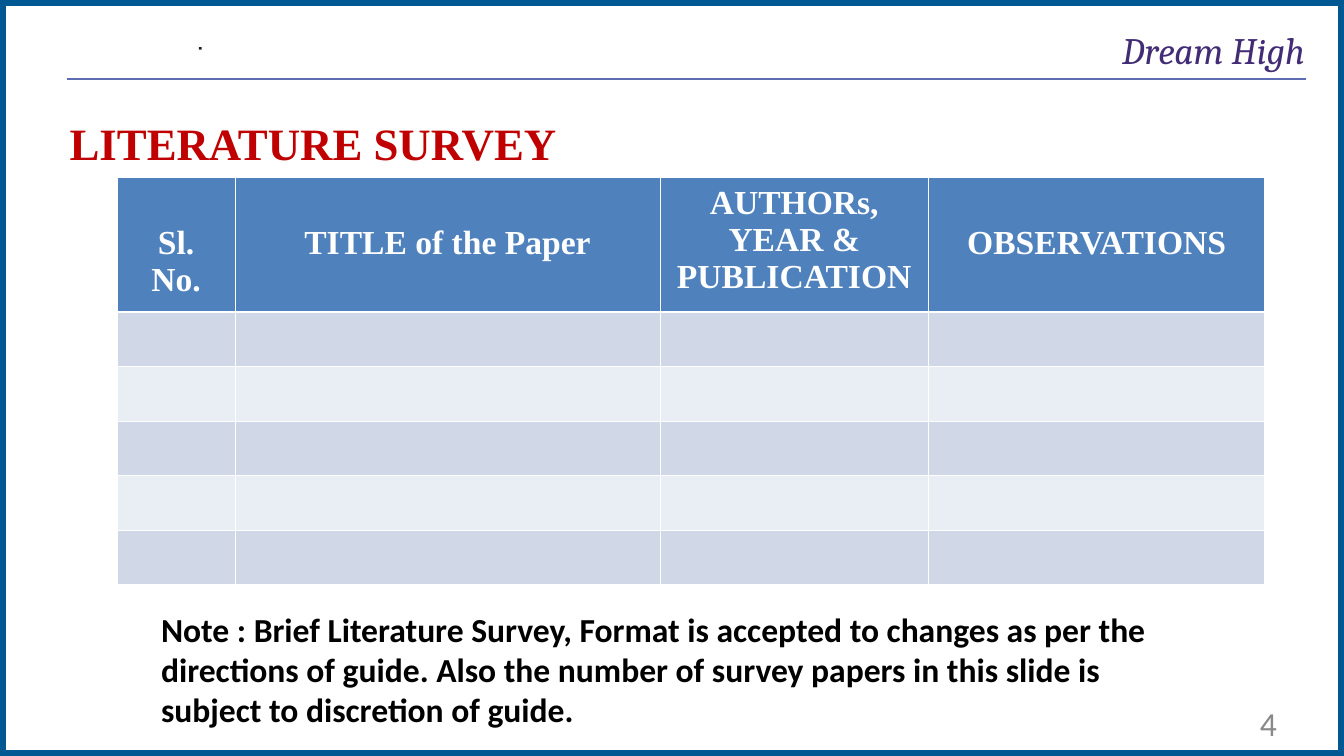
from pptx import Presentation
from pptx.dml.color import RGBColor
from pptx.enum.shapes import MSO_CONNECTOR, MSO_SHAPE
from pptx.enum.text import MSO_ANCHOR, PP_ALIGN
from pptx.oxml.ns import qn
from pptx.util import Inches, Pt
from lxml import etree

RECT = MSO_SHAPE.RECTANGLE
LINE = MSO_CONNECTOR.STRAIGHT
TOP = MSO_ANCHOR.TOP
LEFT, MID, RIGHT = PP_ALIGN.LEFT, PP_ALIGN.CENTER, PP_ALIGN.RIGHT
SERIF = "Times New Roman"

HEX = {
    "white": "FFFFFF", "black": "000000", "frame": "005893", "rule": "5E6DB3",
    "mark": "231F20", "motto": "422C75", "head": "C00000", "page": "898989",
    "top": "4F81BD", "odd": "D0D8E8", "even": "E9EDF4",
}
RGB = {name: RGBColor.from_string(code) for name, code in HEX.items()}


def write(para, text, size, face, color, align=LEFT, bold=False, italic=False):
    para.alignment = align
    run = para.add_run()
    run.text = text
    font = run.font
    font.size, font.name = Pt(size), face
    font.bold, font.italic = bold, italic
    font.color.rgb = RGB[color]


def edge(cell, sides):
    props = cell._tc.get_or_add_tcPr()
    for spot, (side, width) in enumerate(sides.items()):
        line = etree.Element(qn(f"a:ln{side}"), w=str(Pt(width)))
        fill = etree.SubElement(line, qn("a:solidFill"))
        etree.SubElement(fill, qn("a:srgbClr"), val=HEX["white"])
        props.insert(spot, line)


# Widescreen page, 16 to 9
prs = Presentation()
prs.slide_width = Inches(10)
prs.slide_height = Inches(10) * 9 // 16
slide = prs.slides.add_slide(prs.slide_layouts[5])
shapes = slide.shapes

# Frame, placed behind the title
frame = shapes.add_shape(RECT, 0, 0, prs.slide_width, prs.slide_height)
frame.shadow.inherit = False
frame.fill.solid()
frame.fill.fore_color.rgb = RGB["white"]
frame.line.color.rgb = RGB["frame"]
frame.line.width = Pt(6)
shapes.element.insert(2, frame.element)

# Header rule and small mark
rule = shapes.add_connector(LINE, Inches(0.5), Inches(0.59), Inches(9.72), Inches(0.59))
rule.line.color.rgb = RGB["rule"]
rule.line.width = Pt(1.25)
etree.SubElement(rule.element.spPr, qn("a:effectLst"))

mark = shapes.add_shape(RECT, Inches(1.48), Inches(0.35), Inches(0.02), Inches(0.02))
mark.shadow.inherit = False
mark.fill.solid()
mark.fill.fore_color.rgb = RGB["mark"]
mark.line.fill.background()

# Title
title = shapes.title
title.left, title.top = Inches(7.5), Inches(0.2)
title.width, title.height = Inches(2.21), Inches(0.34)
body = title.text_frame
body.margin_left = body.margin_right = body.margin_top = body.margin_bottom = 0
body.vertical_anchor = TOP
write(body.paragraphs[0], "Dream High", 20, "Cambria", "motto", RIGHT, italic=True)

# Page number, heading and note
NOTE = ("Note : Brief Literature Survey, Format is accepted to changes as per the "
        "directions of guide. Also the number of survey papers in this slide is "
        "subject to discretion of guide.")
TEXTS = [
    ((7.2, 5.23, 2.3, 0.31), (0, 0), ("4", 18, "Calibri", "page", RIGHT)),
    ((0.42, 0.81, 4, 0.5), (0.1, 0.05),
     ("LITERATURE SURVEY", 24, SERIF, "head", LEFT, True)),
    ((1.1, 4.48, 7.98, 1), (0.1, 0.05), (NOTE, 18, "Calibri", "black", LEFT, True)),
]
for place, (side, end), words in TEXTS:
    body = shapes.add_textbox(*map(Inches, place)).text_frame
    body.word_wrap = True
    body.margin_left = body.margin_right = Inches(side)
    body.margin_top = body.margin_bottom = Inches(end)
    write(body.paragraphs[0], *words)

# Survey table
HEADS = [["Sl. No."], ["TITLE of the Paper"],
         ["AUTHORs,", "YEAR & PUBLICATION"], ["OBSERVATIONS"]]
WIDTHS = [0.88, 3.16, 2, 2.5]
ROWS = 6
table = shapes.add_table(ROWS, len(HEADS), Inches(0.87), Inches(1.32),
                         Inches(8.54), Inches(3.03)).table
for col, width in zip(table.columns, WIDTHS):
    col.width = Inches(width)
for r, row in enumerate(table.rows):
    row.height = Inches(0.99) if r == 0 else Inches(2.03) // (ROWS - 1)
    for c, cell in enumerate(row.cells):
        cell.fill.solid()
        shade = "top" if r == 0 else "odd" if r % 2 else "even"
        cell.fill.fore_color.rgb = RGB[shade]
        edge(cell, {"L": 0.45, "R": 0.45, "T": 1.47 if r == 1 else 0.45,
                    "B": 1.47 if r == 0 else 0.45})
        body = cell.text_frame
        if r:
            body.paragraphs[0].font.size = Pt(12)
            continue
        # Single headings start one line lower
        cell.margin_top = Inches(0.35 if len(HEADS[c]) == 1 else 0.05)
        for n, text in enumerate(HEADS[c]):
            para = body.add_paragraph() if n else body.paragraphs[0]
            write(para, text, 18, SERIF, "white", MID, True)

prs.save("out.pptx")
